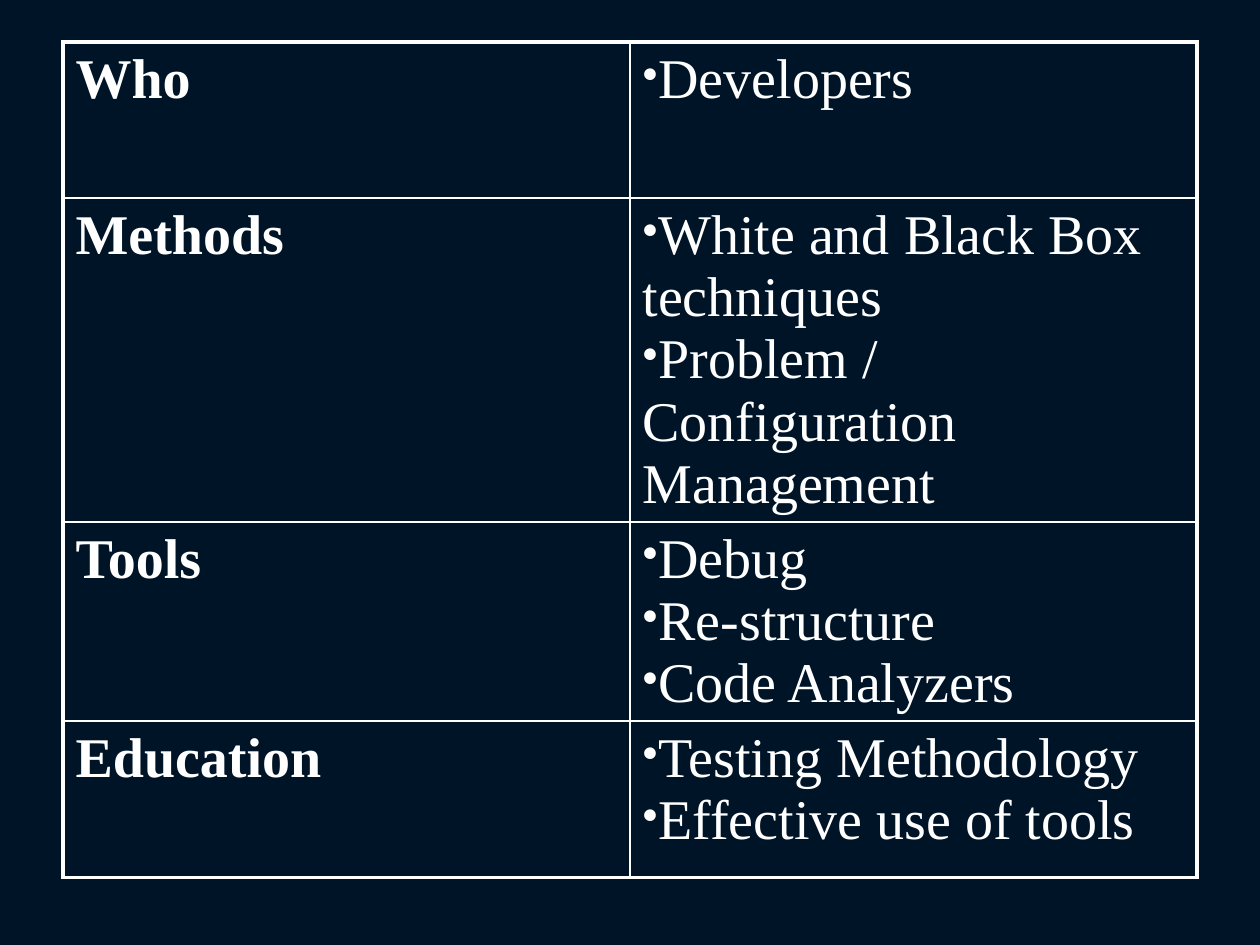
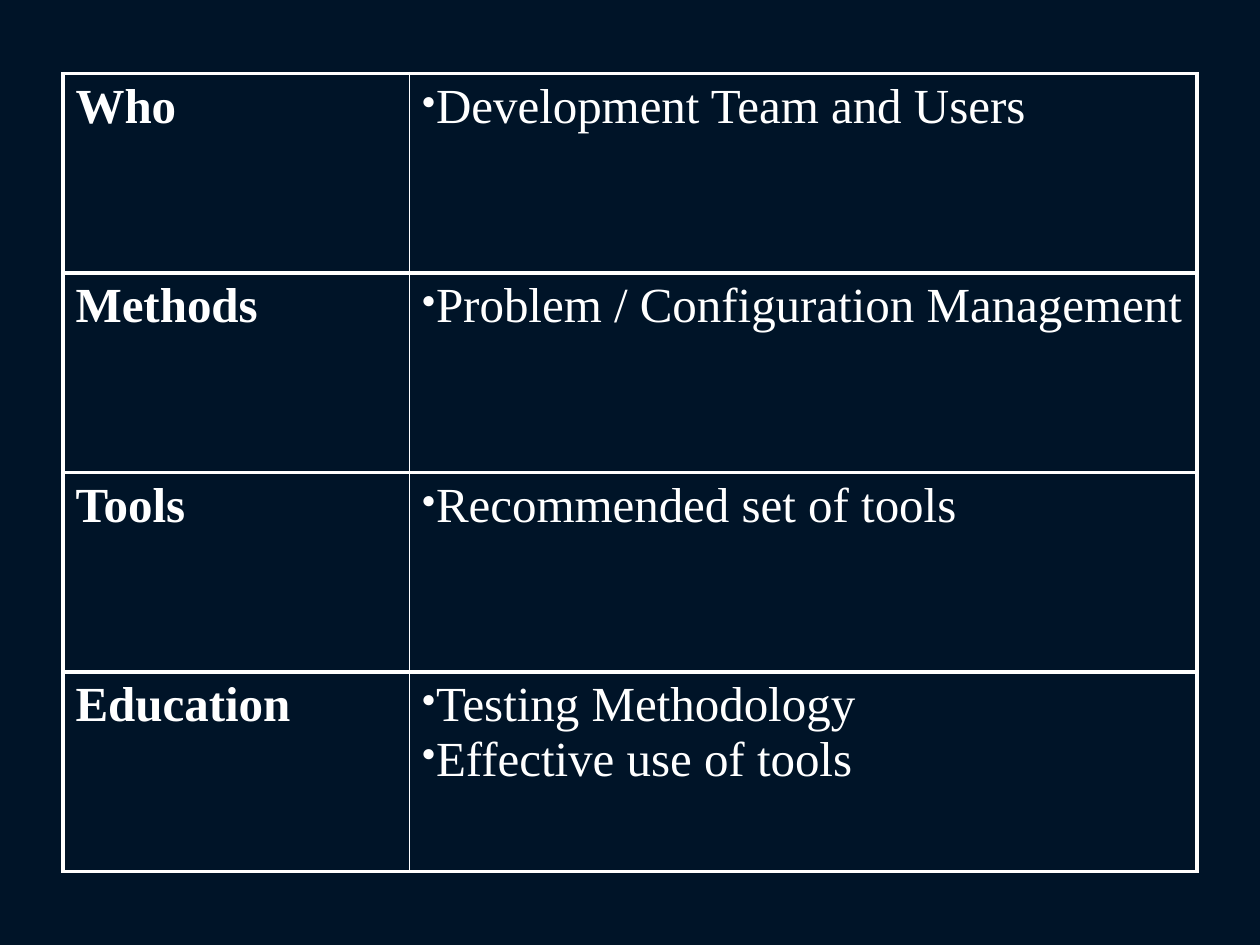
from lxml.etree import SubElement
from pptx import Presentation
from pptx.dml.color import RGBColor
from pptx.oxml.ns import qn
from pptx.util import Pt

COLORS = {"background": "001428", "text": "FFFFFF", "border": "FFFFFF"}
OUTER, INNER = 2.25, 1
TABLE_LEFT = 36

DEVELOPER_TESTING = [
    ("Who", ["Developers"]),
    ("Methods", ["White and Black Box techniques",
                 "Problem / Configuration Management"]),
    ("Tools", ["Debug", "Re-structure", "Code Analyzers"]),
    ("Education", ["Testing Methodology", "Effective use of tools"]),
]
TEAM_TESTING = [
    ("Who", ["Development Team and Users"]),
    ("Methods", ["Problem / Configuration Management"]),
    ("Tools", ["Recommended set of tools"]),
    ("Education", ["Testing Methodology", "Effective use of tools"]),
]


def add_dark_slide(deck):
    slide = deck.slides.add_slide(deck.slide_layouts[6])
    slide.background.fill.solid()
    slide.background.fill.fore_color.rgb = RGBColor.from_string(COLORS["background"])
    return slide


def add_solid_color(parent, tag, color):
    SubElement(SubElement(parent, qn(tag)), qn("a:srgbClr"), val=color)


def draw_borders(cell, widths):
    """Draw the sides named in widths (L, R, T, B), given in points."""
    properties = cell._tc.get_or_add_tcPr()
    for side, width in widths.items():
        border = SubElement(properties, qn(f"a:ln{side}"), w=str(Pt(width)))
        add_solid_color(border, "a:solidFill", COLORS["border"])


def add_bullet(paragraph):
    properties = paragraph._p.get_or_add_pPr()
    add_solid_color(properties, "a:buClr", COLORS["text"])
    SubElement(properties, qn("a:buSzPct"), val="80000")
    SubElement(properties, qn("a:buChar"), char="•")


def write_cell(cell, lines, size, bold=False, bulleted=False):
    font_format = {"name": "Times New Roman", "size": Pt(size), "bold": bold}
    for index, line in enumerate(lines):
        frame = cell.text_frame
        paragraph = frame.add_paragraph() if index else frame.paragraphs[0]
        if bulleted:
            add_bullet(paragraph)
        run = paragraph.add_run()
        run.text = line
        for attribute, value in font_format.items():
            setattr(run.font, attribute, value)
        run.font.color.rgb = RGBColor.from_string(COLORS["text"])


def add_testing_table(slide, topics, top, height, column_widths, row_height,
                      size, divider):
    """Add a topic/details grid; divider is the width of the lines between rows."""
    frame = slide.shapes.add_table(
        len(topics), 2, Pt(TABLE_LEFT), Pt(top), Pt(sum(column_widths)), Pt(height))
    table = frame.table
    for option in ("first_row", "horz_banding"):
        setattr(table, option, False)
    for column, width in zip(table.columns, column_widths):
        column.width = Pt(width)

    last = len(topics) - 1
    for index, (topic, details) in enumerate(topics):
        table.rows[index].height = Pt(row_height)
        topic_cell, details_cell = table.rows[index].cells
        write_cell(topic_cell, [topic], size, bold=True)
        write_cell(details_cell, details, size, bulleted=True)
        across = {"T": divider if index else OUTER,
                  "B": divider if index < last else OUTER}
        draw_borders(topic_cell, {"L": OUTER, "R": INNER, **across})
        draw_borders(details_cell, {"L": INNER, "R": OUTER, **across})
        for cell in (topic_cell, details_cell):
            cell.fill.background()
    frame.height = Pt(height)


def main():
    deck = Presentation()
    deck.slide_width, deck.slide_height = Pt(720), Pt(540)
    add_testing_table(add_dark_slide(deck), DEVELOPER_TESTING, top=24, height=500,
                      column_widths=(324, 324), row_height=89.25, size=32,
                      divider=INNER)
    add_testing_table(add_dark_slide(deck), TEAM_TESTING, top=42, height=456,
                      column_widths=(198, 450), row_height=114, size=28,
                      divider=OUTER)
    deck.save("out.pptx")


if __name__ == "__main__":
    main()
